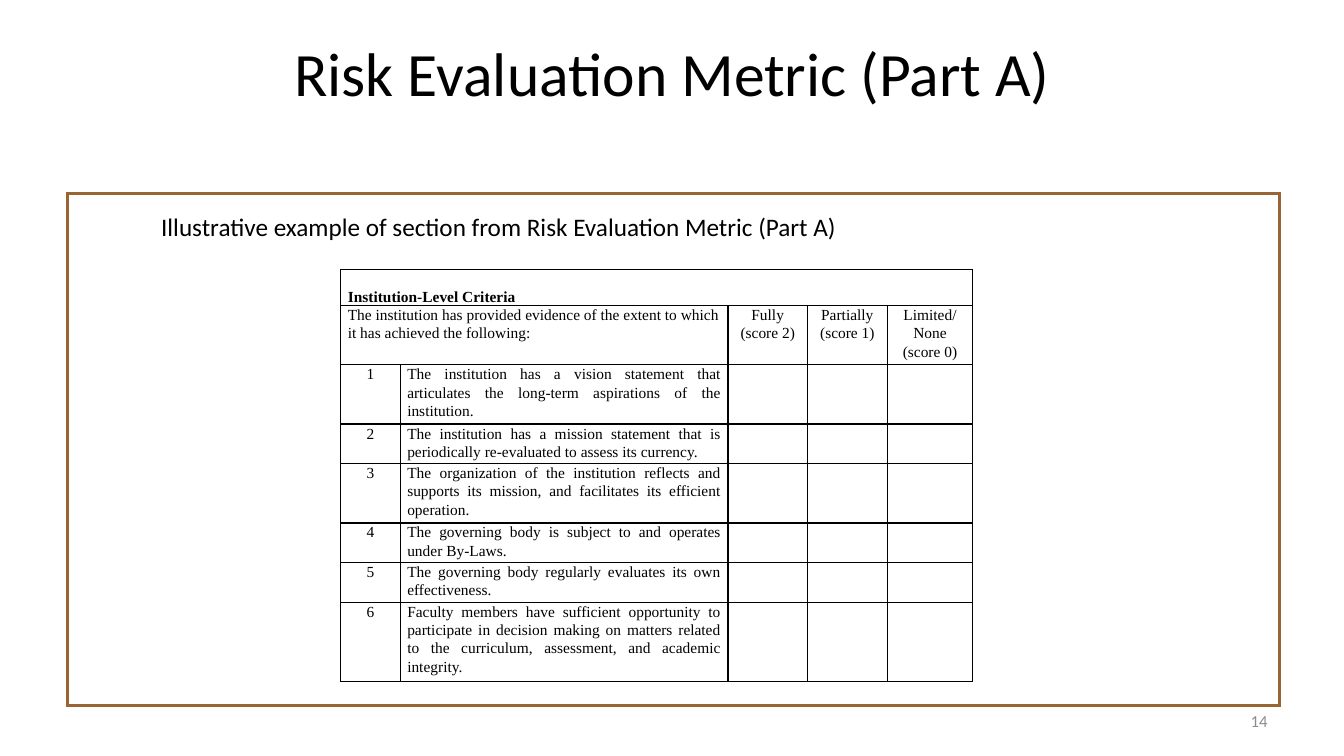
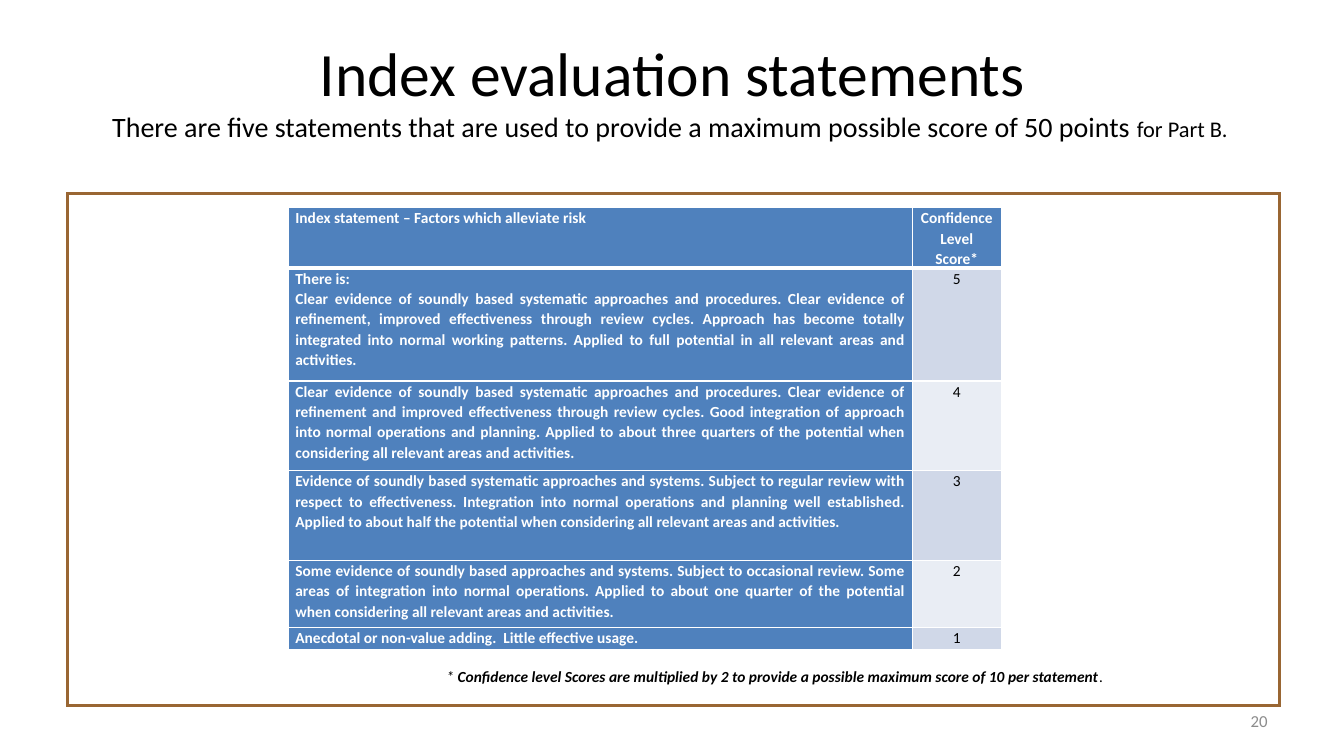
"""Build two slides on risk evaluation scoring, each a framed table under a title."""
from dataclasses import dataclass
from typing import Optional

import pptx
import pptx.dml.color
import pptx.enum.text
import pptx.oxml
import pptx.oxml.ns
import pptx.util
from pptx.util import Inches

COLORS = {
    "ink": "000000",
    "paper": "FFFFFF",
    "frame": "996633",
    "page_number": "8C8C8C",
    "statement": "4F81BD",
    "band_dark": "D0D8E8",
    "band_light": "E9EDF4",
}
BODY_FONT = "Calibri"
FORM_FONT = "Times New Roman"
ALIGN = pptx.enum.text.PP_ALIGN
ANCHOR = pptx.enum.text.MSO_ANCHOR
TITLE_ONLY = 5
FIT_TEXT = 0


@dataclass(frozen=True)
class Span:
    text: str
    size: Optional[float] = None
    bold: Optional[bool] = None
    new_line: bool = False


@dataclass(frozen=True)
class Entry:
    text: str = ""
    align: ALIGN = ALIGN.LEFT
    bold: bool = False
    color: str = "ink"
    fill: Optional[str] = None
    anchor: ANCHOR = ANCHOR.TOP
    columns: int = 1


@dataclass(frozen=True)
class Grid:
    left: float
    top: float
    widths: list[float]
    heights: list[float]
    rows: list[list[Entry]]
    font: str
    border: str
    rule: float = 1
    header_rule: float = 1


FRAME = Grid(0.67, 1.92, [12.02], [5.08], [[Entry(fill="paper")]], BODY_FONT,
             "frame", rule=2.25, header_rule=2.25)


def rgb(name: str) -> pptx.dml.color.RGBColor:
    return pptx.dml.color.RGBColor.from_string(COLORS[name])


def set_font(paragraph, size: float, color: str = "ink", name: str = BODY_FONT,
             bold: bool = False, italic: bool = False) -> None:
    font = paragraph.font
    font.name, font.size = name, pptx.util.Pt(size)
    font.bold, font.italic = bold, italic
    font.color.rgb = rgb(color)


def add_spans(paragraph, spans: list[Span]) -> None:
    for span in spans:
        if span.new_line:
            paragraph.add_line_break()
        run = paragraph.add_run()
        run.text = span.text
        if span.size:
            run.font.size = pptx.util.Pt(span.size)
        if span.bold is not None:
            run.font.bold = span.bold


def add_label(slide, left: float, top: float, width: float, height: float,
              spans: list[Span], size: float, color: str = "ink",
              align: ALIGN = ALIGN.LEFT, anchor: ANCHOR = ANCHOR.MIDDLE,
              italic: bool = False) -> None:
    frame = slide.shapes.add_textbox(
        Inches(left), Inches(top), Inches(width), Inches(height)).text_frame
    frame.word_wrap = True
    frame.vertical_anchor = anchor
    paragraph = frame.paragraphs[0]
    paragraph.alignment = align
    set_font(paragraph, size, color, italic=italic)
    add_spans(paragraph, spans)


def set_borders(cell, color: str, side: float, top: float, bottom: float) -> None:
    properties = cell._tc.get_or_add_tcPr()
    edges = {"lnL": side, "lnR": side, "lnT": top, "lnB": bottom}
    for position, (edge, width) in enumerate(edges.items()):
        properties.insert(position, pptx.oxml.parse_xml(
            f'<a:{edge} {pptx.oxml.ns.nsdecls("a")} w="{pptx.util.Pt(width)}">'
            f'<a:solidFill><a:srgbClr val="{COLORS[color]}"/></a:solidFill>'
            f'</a:{edge}>'))


def fill_cell(cell, entry: Entry, font: str) -> None:
    cell.margin_left = cell.margin_right = Inches(0.07)
    cell.margin_top = cell.margin_bottom = 0
    cell.vertical_anchor = entry.anchor
    if entry.fill:
        cell.fill.solid()
        cell.fill.fore_color.rgb = rgb(entry.fill)
    else:
        cell.fill.background()
    cell.text = entry.text
    for paragraph in cell.text_frame.paragraphs:
        paragraph.alignment = entry.align
        paragraph.line_spacing = 1.07
        set_font(paragraph, 11, entry.color, font, entry.bold)


def add_grid(slide, grid: Grid) -> None:
    table = slide.shapes.add_table(
        len(grid.heights), len(grid.widths), Inches(grid.left), Inches(grid.top),
        Inches(sum(grid.widths)), Inches(sum(grid.heights))).table
    table.first_row = table.horz_banding = False
    for column, width in zip(table.columns, grid.widths):
        column.width = Inches(width)
    for row, (height, entries) in enumerate(zip(grid.heights, grid.rows)):
        table.rows[row].height = Inches(height)
        column = 0
        for entry in entries:
            last = column + entry.columns - 1
            if entry.columns > 1:
                table.cell(row, column).merge(table.cell(row, last))
            for covered in range(column, last + 1):
                cell = table.cell(row, covered)
                fill_cell(cell, entry if covered == column else Entry(), grid.font)
                set_borders(cell, grid.border, grid.rule,
                            top=grid.header_rule if row == 1 else grid.rule,
                            bottom=grid.header_rule if row == 0 else grid.rule)
            column = last + 1


def add_framed_slide(deck, title: list[Span], page_number: int):
    slide = deck.slides.add_slide(deck.slide_layouts[TITLE_ONLY])
    add_grid(slide, FRAME)

    heading = slide.shapes.title
    heading.left, heading.top = Inches(0.67), Inches(0.3)
    heading.width, heading.height = Inches(12), Inches(1.25)
    heading.text_frame.auto_size = pptx.enum.text.MSO_AUTO_SIZE.NONE
    heading.text_frame.vertical_anchor = ANCHOR.TOP
    paragraph = heading.text_frame.paragraphs[0]
    paragraph.alignment = ALIGN.CENTER
    set_font(paragraph, 44)
    add_spans(paragraph, title)

    add_label(slide, 9.56, 6.95, 3.11, 0.4, [Span(str(page_number))], 12,
              "page_number", ALIGN.RIGHT)
    return slide


def add_metric_slide(deck) -> None:
    slide = add_framed_slide(deck, [Span("Risk Evaluation Metric (Part A)")], 14)
    criteria = [
        "The institution has a vision statement that articulates the long-term "
        "aspirations of the institution.",
        "The institution has a mission statement that is periodically "
        "re-evaluated to assess its currency.",
        "The organization of the institution reflects and supports its mission, "
        "and facilitates its efficient operation.",
        "The governing body is subject to and operates under By-Laws.",
        "The governing body regularly evaluates its own effectiveness.",
        "Faculty members have sufficient opportunity to participate in decision "
        "making on matters related to the curriculum, assessment, and academic "
        "integrity.",
    ]
    ratings = ["Fully\n(score 2)", "Partially\n(score 1)", "Limited/None (score 0)"]
    rows = [
        [Entry("Institution-Level Criteria", bold=True, anchor=ANCHOR.BOTTOM, columns=5)],
        [Entry("The institution has provided evidence of the extent to which it "
               "has achieved the following:", columns=2),
         *(Entry(rating, ALIGN.CENTER) for rating in ratings)],
    ]
    for number, criterion in enumerate(criteria, start=1):
        rows.append([Entry(str(number), ALIGN.CENTER), Entry(criterion, ALIGN.JUSTIFY),
                     *(Entry() for _ in ratings)])
    heights = [0.36] + [FIT_TEXT] * (len(rows) - 1)
    add_grid(slide, Grid(3.38, 2.67, [0.59, 3.25, 0.79, 0.79, 0.85], heights,
                         rows, FORM_FONT, "ink"))
    add_label(slide, 1.5, 2.05, 9.99, 0.4,
              [Span("Illustrative example of section from Risk Evaluation Metric (Part A)")],
              18, anchor=ANCHOR.TOP)


def add_index_slide(deck) -> None:
    slide = add_framed_slide(deck, [
        Span("Index evaluation statements"),
        Span("There are five statements that are used to provide a maximum "
             "possible score of 50 points ", 20, new_line=True),
        Span("for Part B. ", 16),
    ], 20)
    statements = [
        "There is:\nClear evidence of soundly based systematic approaches and "
        "procedures. Clear evidence of refinement, improved effectiveness through "
        "review cycles. Approach has become totally integrated into normal working "
        "patterns. Applied to full potential in all relevant areas and activities.",
        "Clear evidence of soundly based systematic approaches and procedures. Clear "
        "evidence of refinement and improved effectiveness through review cycles. Good "
        "integration of approach into normal operations and planning. Applied to about "
        "three quarters of the potential when considering all relevant areas and "
        "activities.",
        "Evidence of soundly based systematic approaches and systems. Subject to "
        "regular review with respect to effectiveness. Integration into normal "
        "operations and planning well established. Applied to about half the potential "
        "when considering all relevant areas and activities.",
        "Some evidence of soundly based approaches and systems. Subject to occasional "
        "review. Some areas of integration into normal operations. Applied to about one "
        "quarter of the potential when considering all relevant areas and activities.",
        "Anecdotal or non-value adding.  Little effective usage.",
    ]

    def heading(text: str, align: ALIGN) -> Entry:
        return Entry(text, align, True, "paper", "statement")

    rows = [[heading("Index statement – Factors which alleviate risk", ALIGN.LEFT),
             heading("Confidence Level Score*", ALIGN.CENTER)]]
    for position, statement in enumerate(statements):
        band = "band_light" if position % 2 else "band_dark"
        rows.append([heading(statement, ALIGN.JUSTIFY),
                     Entry(str(len(statements) - position), ALIGN.CENTER, fill=band)])
    add_grid(slide, Grid(2.86, 2.06, [6.19, 0.88], [0.6, 1.12, 0.89, 0.89, 0.67, 0.22],
                         rows, BODY_FONT, "paper", header_rule=3))
    add_label(slide, 4.33, 6.56, 7.16, 0.29, [
        Span("* "),
        Span("Confidence level Scores are multiplied by 2 to provide a possible "
             "maximum score of 10 per statement", bold=True),
        Span("."),
    ], 11, italic=True)


def main() -> None:
    deck = pptx.Presentation()
    deck.slide_width, deck.slide_height = Inches(13.33), Inches(7.5)
    add_metric_slide(deck)
    add_index_slide(deck)
    deck.save("out.pptx")


if __name__ == "__main__":
    main()
